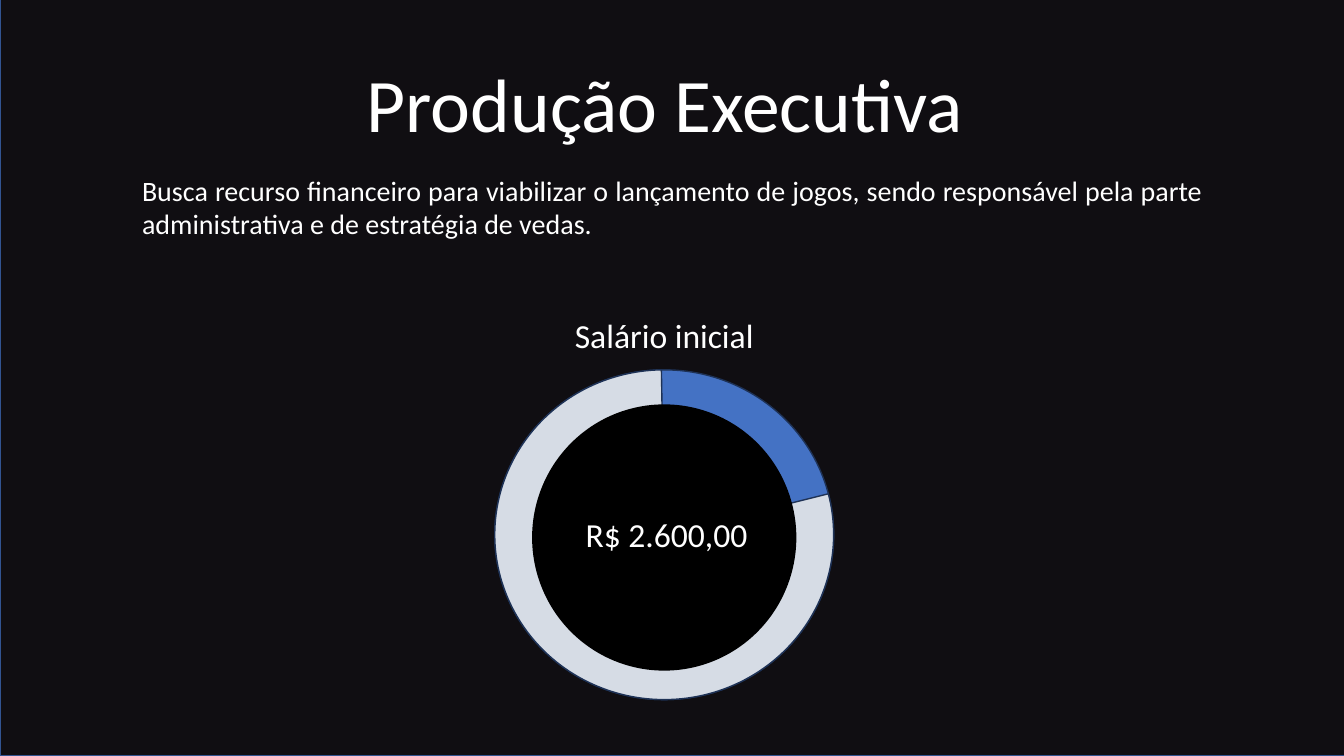
from pptx import Presentation
from pptx.dml.color import RGBColor
from pptx.enum.shapes import MSO_SHAPE as SHAPE
from pptx.enum.text import MSO_ANCHOR, MSO_AUTO_SIZE as FIT, PP_ALIGN as ALIGN
from pptx.util import Cm, Pt

TITLE = "Produção Executiva"
DESCRIPTION = (
    "Busca recurso financeiro para viabilizar o lançamento de jogos, sendo "
    "responsável pela parte administrativa e de estratégia de vedas."
)
SALARY_LABEL = "Salário inicial"
SALARY = "R$ 2.600,00"

FONT = "Calibri"
WHITE, BLACK = "FFFFFF", "000000"
BACKGROUND, BACKGROUND_EDGE = "100E12", "325491"
BLUE, PALE, RING_EDGE = "4472C4", "D6DCE5", "1E3256"

CENTER_X = 16.74  # axis of the ring, in cm
RING = (CENTER_X - 4.27, 9.32, 8.54, 8.31)
HOLE = (CENTER_X - 3.33, 10.19, 6.66, 6.71)
PALE_START, PALE_END = 346.01, 269.03  # degrees, clockwise from the right


def rgb(color):
    return RGBColor.from_string(color)


def add_figure(slide, kind, box, fill, edge=None):
    shape = slide.shapes.add_shape(kind, *map(Cm, box))
    shape.shadow.inherit = False
    shape.fill.solid()
    shape.fill.fore_color.rgb = rgb(fill)
    if edge:
        shape.line.color.rgb = rgb(edge)
        shape.line.width = Pt(1)
    else:
        shape.line.fill.background()
    return shape


def write(shape, text, size, align=ALIGN.CENTER, wrap=True):
    frame = shape.text_frame
    frame.word_wrap = wrap
    frame.auto_size = FIT.SHAPE_TO_FIT_TEXT
    frame.vertical_anchor = MSO_ANCHOR.TOP
    paragraph = frame.paragraphs[0]
    paragraph.alignment = align
    run = paragraph.add_run()
    run.text = text
    run.font.name = FONT
    run.font.size = Pt(size)
    run.font.color.rgb = rgb(WHITE)


def add_text(slide, box, *args, **options):
    write(slide.shapes.add_textbox(*map(Cm, box)), *args, **options)


def main():
    presentation = Presentation()
    presentation.slide_width, presentation.slide_height = Cm(33.87), Cm(19.05)
    slide = presentation.slides.add_slide(presentation.slide_layouts[5])

    add_figure(slide, SHAPE.RECTANGLE, (0, -0.25, 34.24, 19.3),
               BACKGROUND, BACKGROUND_EDGE)
    add_figure(slide, SHAPE.OVAL, RING, BLUE, RING_EDGE)
    pale_sector = add_figure(slide, SHAPE.PIE, RING, PALE, RING_EDGE)
    for index, degrees in enumerate((PALE_START, PALE_END)):
        pale_sector.adjustments[index] = degrees * 0.6
    add_figure(slide, SHAPE.OVAL, HOLE, BLACK)

    add_text(slide, (CENTER_X - 3.46, 12.83, 7.04, 1.28), SALARY, 24)
    add_text(slide, (CENTER_X - 3.76, 7.82, 7.52, 1.28), SALARY_LABEL, 24, wrap=False)

    title = slide.shapes.title
    title.left, title.top, title.width, title.height = map(
        Cm, (-0.36, 1.3, 34.24, 2.56))
    write(title, TITLE, 54)
    # Bring the title in front of the background
    title.element.getparent().append(title.element)

    add_text(slide, (3.33, 4.24, 27.23, 2.82), DESCRIPTION, 20, align=ALIGN.JUSTIFY)
    presentation.save("out.pptx")


if __name__ == "__main__":
    main()
